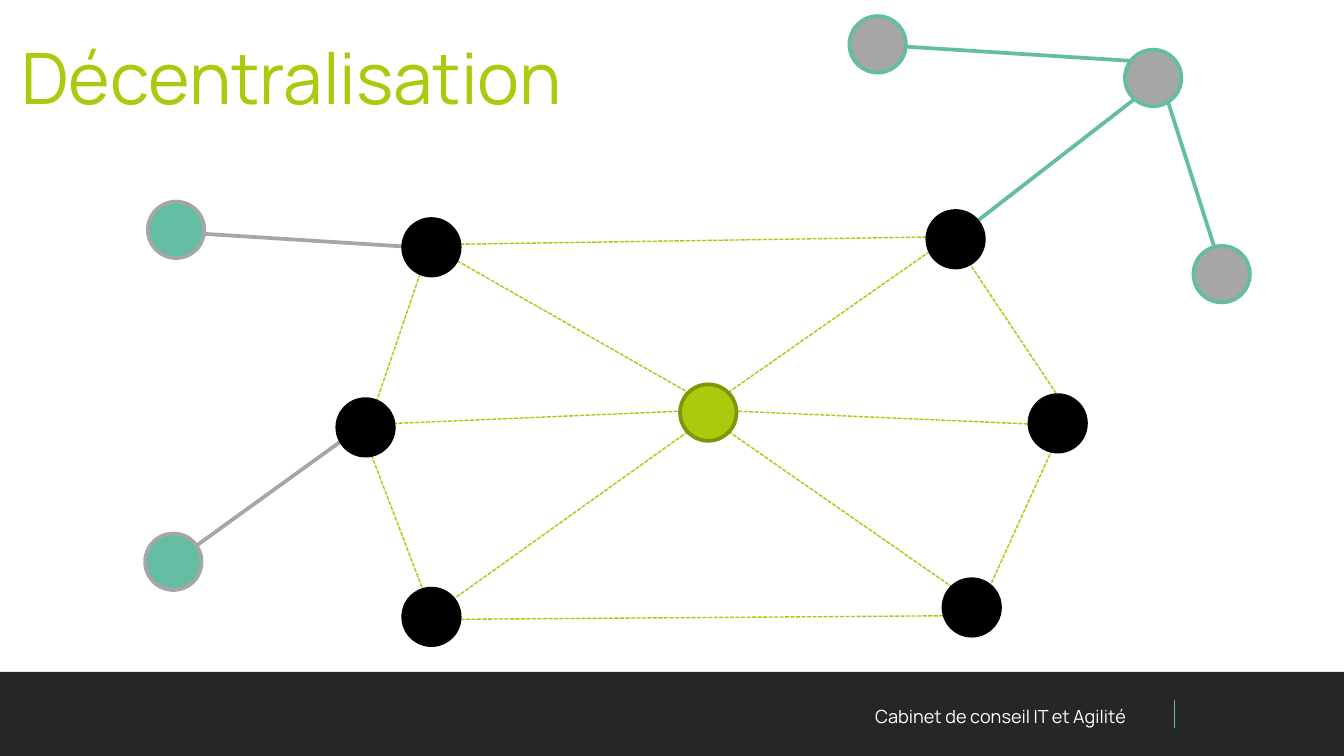
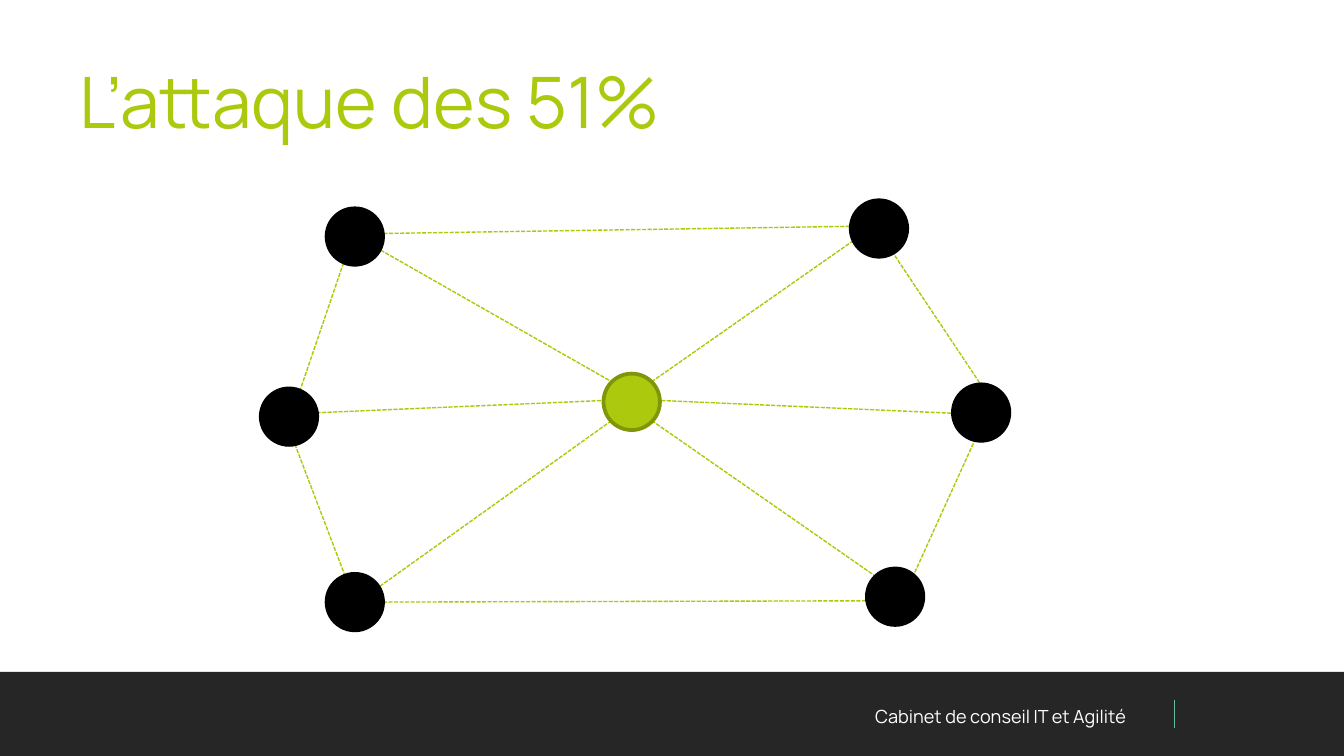
from pptx import Presentation
from pptx.dml.color import RGBColor
from pptx.enum.dml import MSO_LINE
from pptx.enum.shapes import MSO_CONNECTOR, MSO_SHAPE
from pptx.enum.text import MSO_ANCHOR, PP_ALIGN
from pptx.oxml.ns import qn
from pptx.util import Pt
from lxml import etree

PX = 9144
WIDTH = 1000
NODE = 42
FONT = "Manrope"

STRAIGHT = MSO_CONNECTOR.STRAIGHT
OVAL, RECT = MSO_SHAPE.OVAL, MSO_SHAPE.RECTANGLE
DASH = MSO_LINE.SQUARE_DOT
TOP, LEFT, RIGHT = MSO_ANCHOR.TOP, PP_ALIGN.LEFT, PP_ALIGN.RIGHT

WHITE = RGBColor(0xFF, 0xFF, 0xFF)
BLACK = RGBColor(0x00, 0x00, 0x00)
CHARCOAL = RGBColor(0x26, 0x26, 0x26)
GREY = RGBColor(0xA6, 0xA6, 0xA6)
TEAL = RGBColor(0x63, 0xBD, 0xA2)
LIME = RGBColor(0xAD, 0xC9, 0x0E)
LINK_LIME = RGBColor(0xAC, 0xC9, 0x09)
OLIVE = RGBColor(0x80, 0x95, 0x0A)

HUB = (255, 129)
PEERS = [(49, 6), (439, 0), (0, 140), (515, 137), (451, 274)]
PEER_LINKS = [
    (75, 25, 465, 19),
    (25, 154, 70, 22),
    (21, 170, 74, 309),
    (537, 166, 478, 296),
    (465, 31, 549, 157),
]
HUB_LINKS = [
    (21, 159, 255, 149),
    (475, 292, 291, 164),
    (82, 292, 261, 164),
    (75, 29, 261, 135),
    (441, 30, 291, 135),
    (298, 149, 549, 160),
]

LEFT_NODES = [(110, 150), (108, 397)]
LEFT_LINKS = [(136, 173, 326, 185), (131, 417, 268, 318)]
RIGHT_NODES = [(837, 37), (632, 12), (888, 183)]
RIGHT_LINKS = [(662, 34, 853, 46), (711, 177, 858, 63), (865, 63, 908, 198)]


def px(*lengths):
    return [n * PX for n in lengths]


def add_text(slide, box, text, size, color, align, inset_y):
    tf = slide.shapes.add_textbox(*px(*box)).text_frame
    tf.word_wrap = True
    tf.vertical_anchor = TOP
    tf.margin_left = tf.margin_right = 10 * PX
    tf.margin_top = tf.margin_bottom = inset_y * PX
    p = tf.paragraphs[0]
    p.text = text
    p.alignment = align
    p.font.name = FONT
    p.font.size = Pt(size)
    p.font.color.rgb = color


def add_line(slide, ends, color, weight, dash=None):
    line = slide.shapes.add_connector(STRAIGHT, *px(*ends))
    line.line.color.rgb = color
    line.line.width = Pt(weight)
    if dash:
        line.line.dash_style = dash
    etree.SubElement(line._element.spPr, qn("a:effectLst"))


def add_node(slide, x, y, fill, border):
    sp = slide.shapes.add_shape(OVAL, *px(x, y, NODE, NODE))
    sp.shadow.inherit = False
    sp.fill.solid()
    sp.fill.fore_color.rgb = fill
    sp.line.color.rgb = border
    sp.line.width = Pt(2)


def add_footer(slide, x, y, w, h):
    band = slide.shapes.add_shape(RECT, *px(x, y, w, h))
    band.shadow.inherit = False
    band.fill.solid()
    band.fill.fore_color.rgb = CHARCOAL
    band.line.fill.background()
    add_text(slide, (x + 525, y + 20, 323, 26),
             "Cabinet de conseil IT et Agilité", 9.7, WHITE, RIGHT, 5)
    add_line(slide, (x + 874, y + 21, x + 874, y + 42), TEAL, 0.75)


def add_network(slide, x, y, corner, base_link):
    for x1, y1, x2, y2 in PEER_LINKS + HUB_LINKS + [base_link]:
        ends = (x + x1, y + y1, x + x2, y + y2)
        add_line(slide, ends, LINK_LIME, 0.75, DASH)
    for dx, dy in PEERS + [corner]:
        add_node(slide, x + dx, y + dy, BLACK, BLACK)
    add_node(slide, x + HUB[0], y + HUB[1], LIME, OLIVE)


def add_satellites(slide, nodes, links, fill, border):
    for ends in links:
        add_line(slide, ends, border, 2)
    for x, y in nodes:
        add_node(slide, x, y, fill, border)


def add_content_slide(prs, title, x, y):
    slide = prs.slides.add_slide(prs.slide_layouts[6])
    add_footer(slide, 0, 500, WIDTH, 63)
    add_text(slide, (x, y, 895, 55), title, 38, LIME, LEFT, 10)
    return slide


def main():
    prs = Presentation()
    prs.slide_width = WIDTH * PX
    prs.slide_height = prs.slide_width * 9 // 16

    slide = add_content_slide(prs, "Décentralisation", 6, 15)
    add_satellites(slide, LEFT_NODES, LEFT_LINKS, TEAL, GREY)
    add_satellites(slide, RIGHT_NODES, RIGHT_LINKS, GREY, TEAL)
    add_network(slide, 251, 157, (49, 281), (67, 304, 478, 301))

    slide = add_content_slide(prs, "L’attaque des 51%", 49, 33)
    add_network(slide, 194, 149, (49, 278), (91, 299, 478, 298))

    prs.save("out.pptx")


if __name__ == "__main__":
    main()
